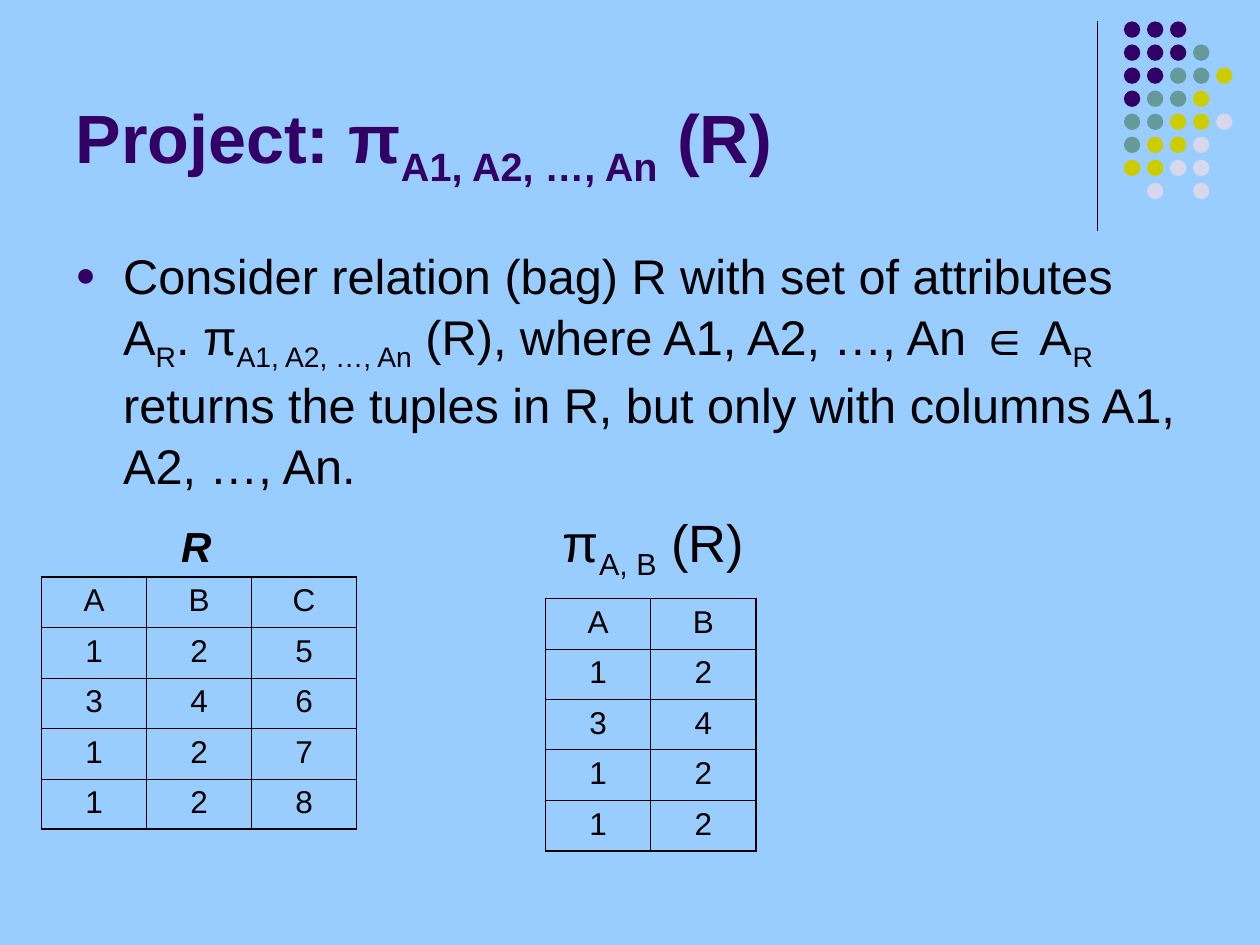
from dataclasses import dataclass

import pptx
import pptx.dml.color
import pptx.enum.shapes
import pptx.enum.text
import pptx.oxml
import pptx.oxml.ns
import pptx.util
from pptx.util import Inches


@dataclass(frozen=True)
class Theme:
    font: str = "Arial"
    background: str = "99CCFF"
    ink: str = "000000"
    purple: str = "330066"
    teal: str = "669999"
    olive: str = "CCCC00"
    pale: str = "D8D8EC"
    title_size: float = 39
    body_size: float = 27.8
    projection_size: float = 30
    relation_size: float = 24
    cell_size: float = 18
    rule_width: float = 0.75
    outer_border: float = 1.08
    inner_border: float = 0.45


THEME = Theme()

# One letter per dot: purple, teal, olive, pale; a space leaves a gap
DOT_ROWS = ["PPP", "PPPT", "PPTTO", "PTTO", "TTOOL", "TOOL", "OOLL", " L L"]
DOT_COLORS = {"P": THEME.purple, "T": THEME.teal, "O": THEME.olive, "L": THEME.pale}

# Text pieces are (text, is_subscript)
TITLE = [("Project: π", False), ("A1, A2, …, An", True), (" (R)", False)]
BODY = [
    ("Consider relation (bag) R with set of attributes A", False),
    ("R", True),
    (". π", False),
    ("A1, A2, …, An", True),
    (" (R), where A1, A2, …, An ∈ A", False),
    ("R", True),
    (" returns the tuples in R, but only with columns A1, A2, …, An.", False),
]
PROJECTION = [("π", False), ("A, B", True), (" (R)", False)]
RELATION_ROWS = ["ABC", "125", "346", "127", "128"]
PROJECTED_ROWS = [row[:2] for row in RELATION_ROWS]


def rgb(color):
    return pptx.dml.color.RGBColor.from_string(color)


def add_runs(paragraph, pieces, size, color=THEME.ink, bold=False, italic=False):
    for text, is_subscript in pieces:
        run = paragraph.add_run()
        run.text = text
        run.font.name = THEME.font
        run.font.size = pptx.util.Pt(size)
        run.font.bold = bold
        run.font.italic = italic
        run.font.color.rgb = rgb(color)
        if is_subscript:
            run._r.get_or_add_rPr().set("baseline", "-25000")


def add_xml(parent, xml, index=None):
    namespace = pptx.oxml.ns.nsdecls("a")
    element = pptx.oxml.parse_xml(xml.replace(" ", f" {namespace} ", 1))
    parent.insert(len(parent) if index is None else index, element)


def add_title(slide, left, top, width, height):
    title = slide.shapes.title
    title.left, title.top, title.width, title.height = left, top, width, height
    frame = title.text_frame
    frame.word_wrap = True
    frame.auto_size = pptx.enum.text.MSO_AUTO_SIZE.NONE
    frame.vertical_anchor = pptx.enum.text.MSO_ANCHOR.BOTTOM
    paragraph = frame.paragraphs[0]
    paragraph.alignment = pptx.enum.text.PP_ALIGN.LEFT
    add_runs(paragraph, TITLE, THEME.title_size, THEME.purple, bold=True)


def add_body(slide, left, top, width, height):
    frame = slide.shapes.add_textbox(left, top, width, height).text_frame
    frame.word_wrap = True
    paragraph = frame.paragraphs[0]
    properties = paragraph._p.get_or_add_pPr()
    properties.set("marL", str(Inches(0.38)))
    properties.set("indent", str(Inches(-0.38)))
    for xml in (
        f'<a:buClr ><a:srgbClr val="{THEME.purple}"/></a:buClr>',
        '<a:buSzPct val="70000"/>',
        f'<a:buFont typeface="{THEME.font}"/>',
        '<a:buChar char="●"/>',
    ):
        add_xml(properties, xml)
    paragraph.line_spacing = 1.04
    add_runs(paragraph, BODY, THEME.body_size)


def add_caption(slide, left, top, width, height, pieces, size, emphasis=False):
    frame = slide.shapes.add_textbox(left, top, width, height).text_frame
    frame.word_wrap = False
    frame.auto_size = pptx.enum.text.MSO_AUTO_SIZE.SHAPE_TO_FIT_TEXT
    add_runs(frame.paragraphs[0], pieces, size, bold=emphasis, italic=emphasis)


def set_borders(cell, outer_sides):
    properties = cell._tc.get_or_add_tcPr()
    for index, side in enumerate("LRTB"):
        points = THEME.outer_border if side in outer_sides else THEME.inner_border
        add_xml(
            properties,
            f'<a:ln{side} w="{pptx.util.Pt(points)}"><a:solidFill>'
            f'<a:srgbClr val="{THEME.ink}"/></a:solidFill></a:ln{side}>',
            index,
        )


def add_relation(slide, left, top, width, height, rows):
    row_count, column_count = len(rows), len(rows[0])
    table = slide.shapes.add_table(
        row_count, column_count, left, top, width, height
    ).table
    table.first_row = False
    table.horz_banding = False
    for row_index, row in enumerate(rows):
        for column_index, value in enumerate(row):
            cell = table.cell(row_index, column_index)
            cell.fill.background()
            edges = {
                "L": column_index == 0,
                "R": column_index == column_count - 1,
                "T": row_index == 0,
                "B": row_index == row_count - 1,
            }
            set_borders(cell, [side for side, is_outer in edges.items() if is_outer])
            paragraph = cell.text_frame.paragraphs[0]
            paragraph.alignment = pptx.enum.text.PP_ALIGN.CENTER
            add_runs(paragraph, [(value, False)], THEME.cell_size)


def add_corner_ornament(slide, left, top, height):
    # Vertical rule
    rule = slide.shapes.add_connector(
        pptx.enum.shapes.MSO_CONNECTOR.STRAIGHT, left, top, left, top + height
    )
    rule.line.color.rgb = rgb(THEME.ink)
    rule.line.width = pptx.util.Pt(THEME.rule_width)
    add_xml(rule._element.spPr, "<a:effectLst />")

    # Dot grid
    size, pitch = Inches(0.13), Inches(0.183)
    dots = slide.shapes.add_group_shape()
    for row_index, row in enumerate(DOT_ROWS):
        for column_index, letter in enumerate(row):
            if letter == " ":
                continue
            dot = dots.shapes.add_shape(
                pptx.enum.shapes.MSO_SHAPE.OVAL,
                left + Inches(0.21) + column_index * pitch,
                top + row_index * pitch,
                size,
                size,
            )
            dot.shadow.inherit = False
            dot.fill.solid()
            dot.fill.fore_color.rgb = rgb(DOT_COLORS[letter])
            dot.line.fill.background()


def main():
    presentation = pptx.Presentation()
    presentation.slide_width = Inches(10)
    presentation.slide_height = Inches(7.5)
    slide = presentation.slides.add_slide(presentation.slide_layouts[5])
    slide.background.fill.solid()
    slide.background.fill.fore_color.rgb = rgb(THEME.background)

    add_corner_ornament(slide, Inches(8.71), Inches(0.17), Inches(1.66))
    add_title(slide, Inches(0.5), Inches(0.13), Inches(8.25), Inches(1.42))
    add_body(slide, Inches(0.5), Inches(1.88), Inches(9), Inches(2.2))

    # Relation R and its projection
    add_relation(
        slide, Inches(0.33), Inches(4.58), Inches(2.5), Inches(2), RELATION_ROWS
    )
    add_caption(
        slide, Inches(1.34), Inches(4.08), Inches(0.44), Inches(0.5),
        [("R", False)], THEME.relation_size, emphasis=True,
    )
    add_caption(
        slide, Inches(4.37), Inches(4), Inches(1.64), Inches(0.67),
        PROJECTION, THEME.projection_size,
    )
    add_relation(
        slide, Inches(4.33), Inches(4.75), Inches(1.67), Inches(2), PROJECTED_ROWS
    )
    presentation.save("out.pptx")


if __name__ == "__main__":
    main()
